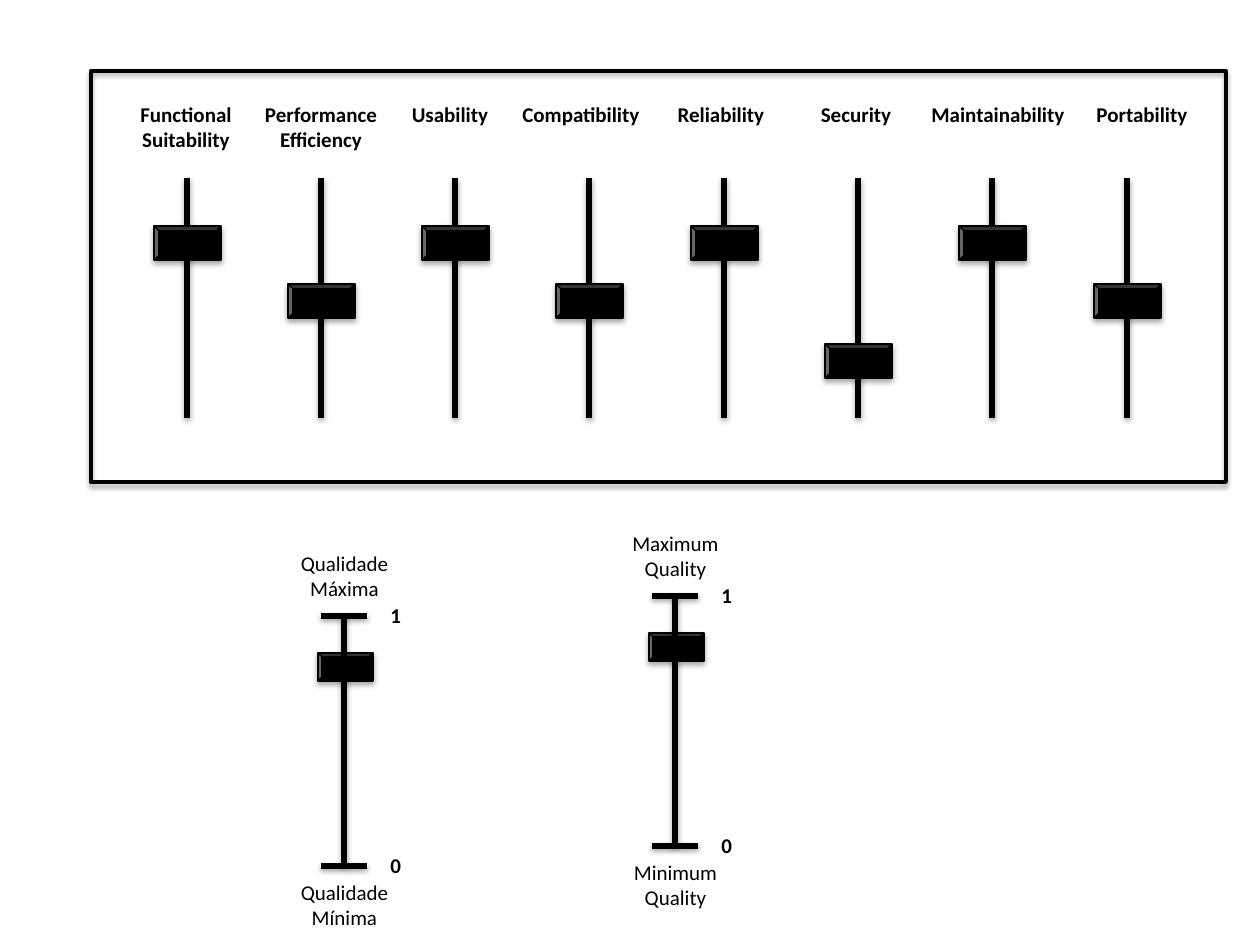
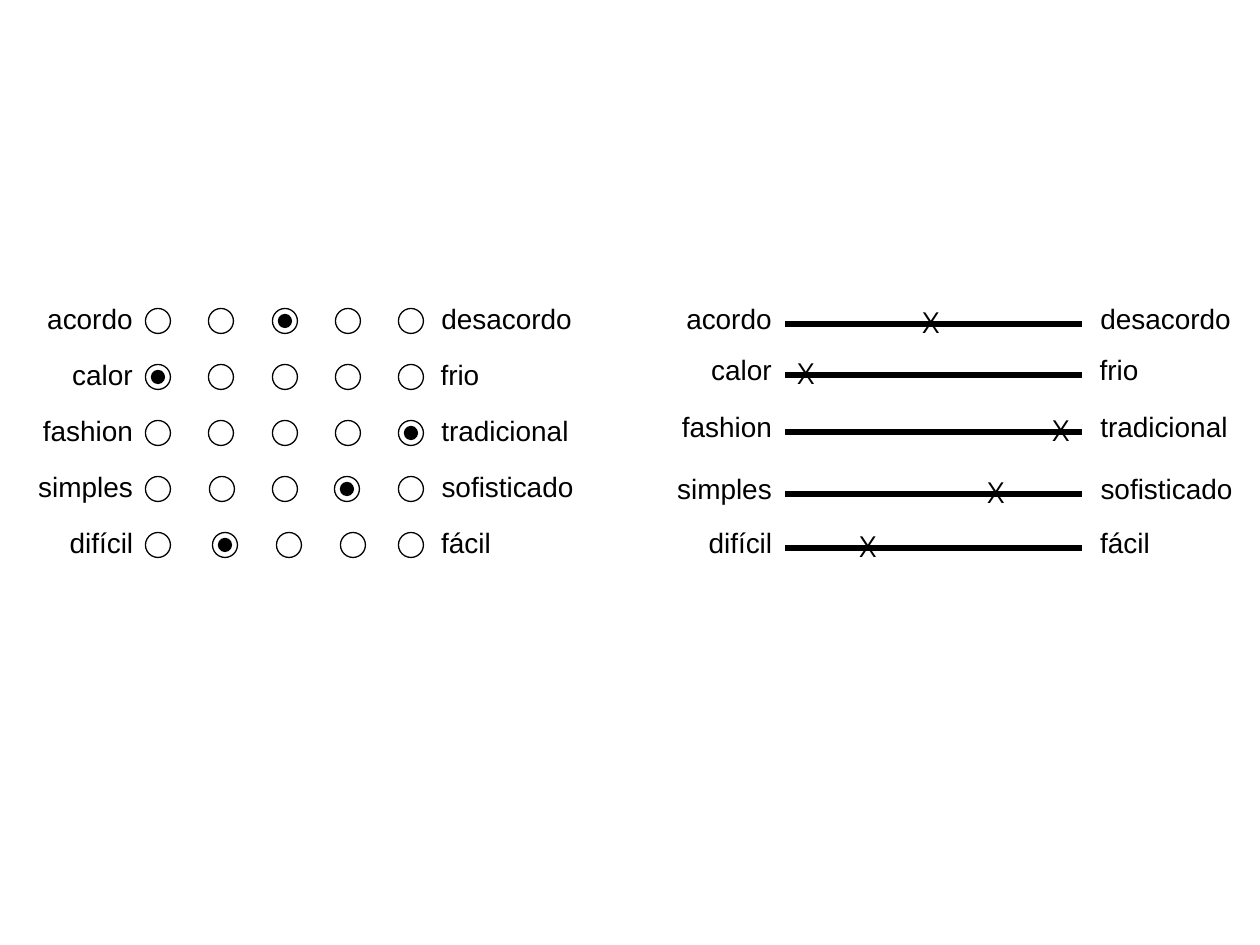
from lxml import etree
from pptx import Presentation
from pptx.dml.color import RGBColor
from pptx.enum.shapes import MSO_CONNECTOR, MSO_SHAPE
from pptx.enum.text import MSO_AUTO_SIZE, PP_ALIGN
from pptx.oxml.ns import qn
from pptx.util import Emu, Pt

PX = 914400 / 126
BLACK = RGBColor(0, 0, 0)
LINE = MSO_CONNECTOR.STRAIGHT
BEVEL, OVAL, RECT = MSO_SHAPE.BEVEL, MSO_SHAPE.OVAL, MSO_SHAPE.RECTANGLE
LEFT, CENTER = PP_ALIGN.LEFT, PP_ALIGN.CENTER
GROW = MSO_AUTO_SIZE.SHAPE_TO_FIT_TEXT

# Shadow distance in EMU and opacity in thousandths of a percent
LINE_SHADE = (20000, 38000)
SHAPE_SHADE = (23000, 35000)

HIGH, MID, LOW = 226, 284, 344
# label, label centre, label width, knob top
FADERS = [
    ("Functional\nSuitability", 186, 146, HIGH),
    ("Performance\nEfficiency", 321, 160, MID),
    ("Usability", 450, 130, HIGH),
    ("Compatibility", 581, 163, MID),
    ("Reliability", 721, 130, HIGH),
    ("Security", 856, 130, LOW),
    ("Maintainability", 998, 199, HIGH),
    ("Portability", 1142, 130, MID),
]

RINGS = [158, 221, 285, 348, 411]
# left word, width, right word, width, picked ring, ring centres, line y, cross left
SCALES = [
    ("acordo", 112, "desacordo", 157, 2, RINGS, 324, 910),
    ("calor", 87, "frio", 64, 0, RINGS, 375, 785),
    ("fashion", 116, "tradicional", 154, 4, RINGS, 432, 1040),
    ("simples", 121, "sofisticado", 159, 3, [158, 222, 285, 347, 411], 494, 975),
    ("difícil", 89, "fácil", 76, 1, [158, 225, 289, 353, 411], 548, 847),
]


def px(*nums):
    return [Emu(round(n * PX)) for n in nums]


def shade(item, drop=None):
    """Replace the theme effect by the given shadow, or by none."""
    effects = etree.SubElement(item._element.spPr, qn("a:effectLst"))
    if drop:
        dist, alpha = drop
        outer = etree.SubElement(effects, qn("a:outerShdw"), blurRad="40000",
                                 dist=str(dist), dir="5400000", rotWithShape="0")
        color = etree.SubElement(outer, qn("a:srgbClr"), val=str(BLACK))
        etree.SubElement(color, qn("a:alpha"), val=str(alpha))


def add_text(slide, text, x, y, w, h, size, font="Calibri", bold=False,
             align=CENTER, wrap=False):
    frame = slide.shapes.add_textbox(*px(x, y, w, h)).text_frame
    frame.word_wrap = wrap
    frame.auto_size = GROW
    for i, line in enumerate(text.split("\n")):
        para = frame.add_paragraph() if i else frame.paragraphs[0]
        para.alignment = align
        run = para.add_run()
        run.text = line
        run.font.name = font
        run.font.size = Pt(size)
        run.font.bold = bold
        run.font.color.rgb = BLACK


def add_line(slide, x1, y1, x2, y2, drop=None):
    line = slide.shapes.add_connector(LINE, *px(x1, y1, x2, y2))
    line.line.color.rgb = BLACK
    line.line.width = Pt(3)
    shade(line, drop)


def add_form(slide, kind, x, y, w, h, solid=True, width=0.75, drop=None):
    form = slide.shapes.add_shape(kind, *px(x, y, w, h))
    if solid:
        form.fill.solid()
        form.fill.fore_color.rgb = BLACK
    else:
        form.fill.background()
    form.line.color.rgb = BLACK
    form.line.width = Pt(width)
    shade(form, drop)


def add_dot(slide, x, y, size, solid):
    add_form(slide, OVAL, x - size / 2, y - size / 2, size, size, solid)


def add_fader(slide, x, knob):
    add_line(slide, x, 178, x, 418, LINE_SHADE)
    add_form(slide, BEVEL, x - 33, knob, 67, 34, drop=SHAPE_SHADE)


def add_gauge(slide, x, top, high, low):
    """Draw a 0 to 1 slider with its end captions."""
    add_form(slide, BEVEL, x - 26, top + 37, 55, 28, drop=SHAPE_SHADE)
    add_line(slide, x, top, x, top + 250, LINE_SHADE)
    for y, value in ((top, "1"), (top + 250, "0")):
        add_line(slide, x + 23, y, x - 23, y, LINE_SHADE)
        add_text(slide, value, x + 34, y - 20, 37, 38, 12, bold=True, align=LEFT)
    add_text(slide, high, x - 56, top - 72, 113, 64, 12)
    add_text(slide, low, x - 56, top + 257, 113, 64, 12)


def add_pair(slide, scale, right, left, y):
    """Put the left word up to one x and the right word from another."""
    word, width, other, wide = scale[:4]
    add_text(slide, word, right - width, y, width, 46, 16, "Arial")
    add_text(slide, other, left, y, wide, 46, 16, "Arial")


def draw_mixer(slide):
    for i, (label, mid, width, knob) in enumerate(FADERS):
        height = 64 if "\n" in label else 38
        add_text(slide, label, mid - width / 2, 95, width, height, 12,
                 bold=True, wrap=True)
        add_fader(slide, 187 + 940 * i // 7, knob)
    add_form(slide, RECT, 91, 71, 1135, 411, False, 2.25, SHAPE_SHADE)
    add_gauge(slide, 344, 616, "Qualidade\nMáxima", "Qualidade\nMínima")
    add_gauge(slide, 675, 596, "Maximum\nQuality", "Minimum\nQuality")


def draw_scales(slide):
    for i, scale in enumerate(SCALES):
        picked, rings, y, cross = scale[4:]
        mid = 321 + 56 * i
        add_pair(slide, scale, 146, 428, mid - 26)
        for x in rings:
            add_dot(slide, x, mid, 25, False)
        add_dot(slide, rings[picked], mid, 13, True)
        add_pair(slide, scale, 785, 1087, y - 29)
        add_line(slide, 785, y, 1082, y)
        add_text(slide, "X", cross, y - 25, 43, 46, 16, "TeX Gyre Adventor", align=LEFT)


def main():
    deck = Presentation()
    deck.slide_width, deck.slide_height = px(1260, 945)
    blank = deck.slide_layouts[6]
    for draw in (draw_mixer, draw_scales):
        draw(deck.slides.add_slide(blank))
    deck.save("out.pptx")


if __name__ == "__main__":
    main()
